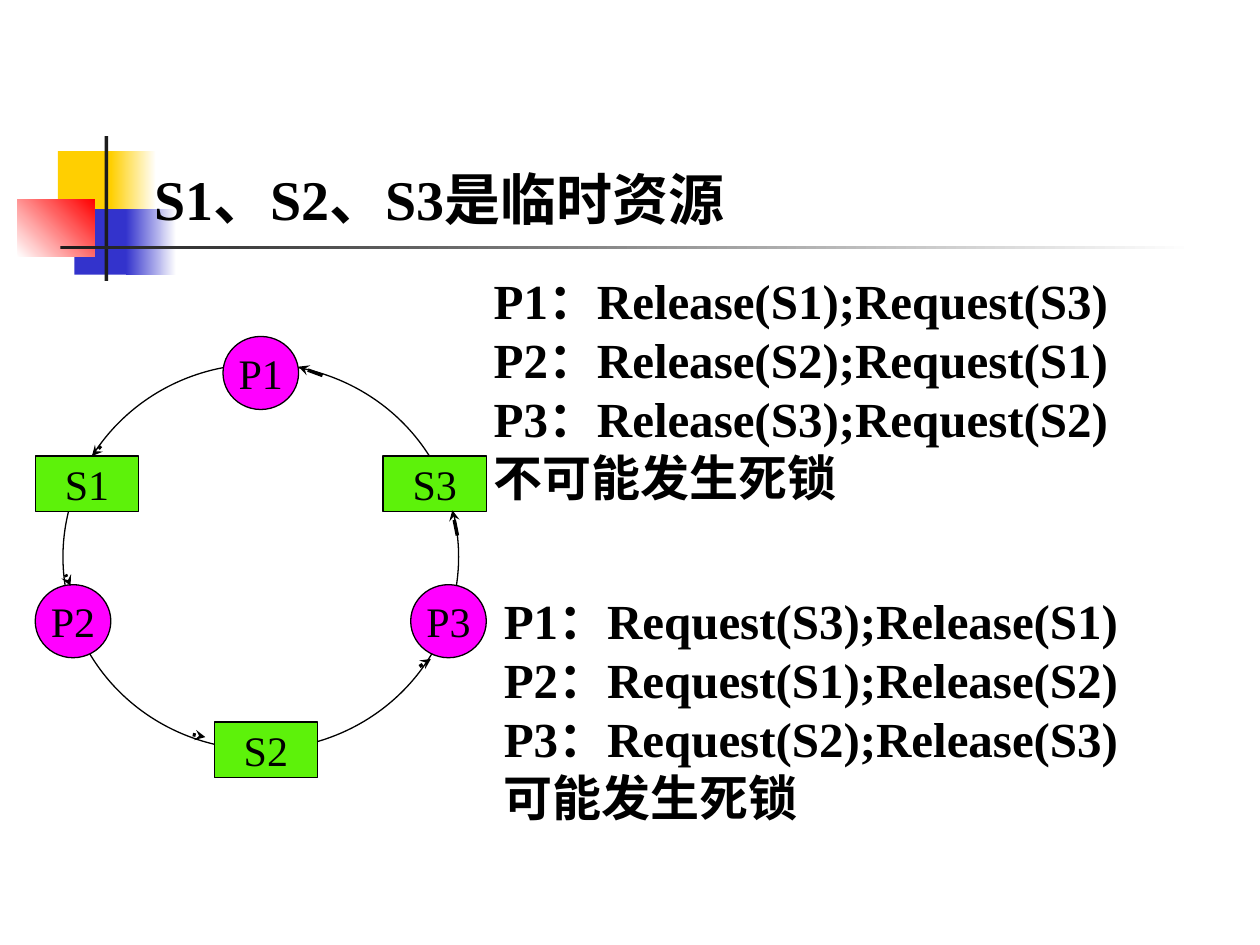
from lxml.etree import SubElement
from pptx import Presentation
from pptx.dml.color import RGBColor
from pptx.enum.shapes import MSO_CONNECTOR, MSO_SHAPE
from pptx.enum.text import MSO_ANCHOR, PP_ALIGN
from pptx.oxml.ns import qn
from pptx.util import Inches, Pt

FONT = "Times New Roman"
COLORS = {
    "white": "FFFFFF", "black": "000000", "yellow": "FFCF01", "blue": "3333CC",
    "red": "FF0000", "dark": "1C1C1C", "process": "FF00FF", "resource": "5DF20A",
}


def rgb(name):
    """Return the named colour."""
    return RGBColor.from_string(COLORS[name])


def add_shape(s, kind, box, fill=None, fade=None, angle=0, outlined=False):
    """Add a preset shape with a solid, fading or empty fill."""
    sp = s.shapes.add_shape(kind, *map(Inches, box))
    sp.shadow.inherit = False
    if fade:
        sp.fill.gradient()
        sp.fill.gradient_angle = angle
        for stop, name in zip(sp.fill.gradient_stops, (fill, fade)):
            stop.color.rgb = rgb(name)
    elif fill:
        sp.fill.solid()
        sp.fill.fore_color.rgb = rgb(fill)
    else:
        sp.fill.background()
    if outlined:
        sp.line.color.rgb = rgb("black")
        sp.line.width = Pt(0.75)
    else:
        sp.line.fill.background()
    return sp


def set_text(sp, lines, size, bold=False, align=PP_ALIGN.LEFT):
    """Write one paragraph per line in a single style."""
    tf = sp.text_frame
    tf.word_wrap = False
    tf.text = "\n".join(lines)
    for p in tf.paragraphs:
        p.alignment = align
        p.font.name, p.font.size, p.font.bold = FONT, Pt(size), bold
        p.font.color.rgb = rgb("black")


def add_text(s, box, lines, size):
    """Add a bold text block."""
    set_text(s.shapes.add_textbox(*map(Inches, box)), lines, size, bold=True)


def add_arrow(s, start, end):
    """Add a hairline with a stealth arrowhead at its end."""
    cn = s.shapes.add_connector(MSO_CONNECTOR.STRAIGHT, *map(Inches, (*start, *end)))
    cn.line.color.rgb = rgb("black")
    cn.line.width = Pt(0)
    SubElement(cn.line._get_or_add_ln(), qn("a:tailEnd"), type="stealth")
    SubElement(cn._element.spPr, qn("a:effectLst"))


def add_ornament(s, box):
    """Draw the coloured squares and the crossing rules beside the title."""
    left, top, width, height = box
    parts = [
        (0.32, 0.12, 0.48, 0.52, "yellow", None, 0),
        (0.74, 0.12, 0.36, 0.52, "yellow", "white", 0),
        (0.45, 0.58, 0.46, 0.52, "blue", None, 0),
        (0.86, 0.58, 0.4, 0.52, "blue", "white", 0),
        (0, 0.5, 0.61, 0.46, "white", "red", 45),
        (0.69, 0, 0.03, height, "dark", None, 0),
        (0.34, 0.87, width - 0.34, 0.03, "dark", "white", 0),
    ]
    for x, y, w, h, fill, fade, angle in parts:
        add_shape(s, MSO_SHAPE.RECTANGLE, (left + x, top + y, w, h), fill, fade, angle)


def add_cycle(s, box):
    """Draw the ring of processes and resources with its arrowheads."""
    left, top, width, height = box
    add_shape(s, MSO_SHAPE.OVAL, (left + 0.22, top + 0.22, width - 0.44, height - 0.44),
              outlined=True)
    styles = {"P": (MSO_SHAPE.OVAL, 0.6, 0.58, "process"),
              "S": (MSO_SHAPE.RECTANGLE, 0.82, 0.44, "resource")}
    nodes = {"P1": (1.49, 0), "S1": (0, 0.95), "S3": (width - 0.82, 0.95),
             "P2": (0, 1.97), "P3": (width - 0.6, 1.97), "S2": (1.42, height - 0.44)}
    for name, (x, y) in nodes.items():
        kind, w, h, fill = styles[name[0]]
        sp = add_shape(s, kind, (left + x, top + y, w, h), fill, outlined=True)
        set_text(sp, [name], 24, align=PP_ALIGN.CENTER)
        sp.text_frame.vertical_anchor = MSO_ANCHOR.MIDDLE
    arrows = [
        (0.52, 0.87, 0.45, 0.95), (0.24, 1.89, 0.28, 1.98), (1.25, 3.16, 1.35, 3.18),
        (3.05, 2.62, 3.14, 2.56), (3.35, 1.58, 3.31, 1.38), (2.28, 0.31, 2.09, 0.24),
    ]
    for x1, y1, x2, y2 in arrows:
        add_arrow(s, (left + x1, top + y1), (left + x2, top + y2))


def main():
    """Build and save the slide."""
    prs = Presentation()
    prs.slide_width, prs.slide_height = Inches(10), Inches(7.5)
    s = prs.slides.add_slide(prs.slide_layouts[6])
    add_ornament(s, (0.14, 1.08, 9.34, 1.15))
    add_cycle(s, (0.28, 2.67, 3.58, 3.5))
    needs = [("P1", "S1", "S3"), ("P2", "S2", "S1"), ("P3", "S3", "S2")]
    release_first = [f"{p}：Release({own});Request({want})" for p, own, want in needs]
    request_first = [f"{p}：Request({want});Release({own})" for p, own, want in needs]
    add_text(s, (3.82, 2.1, 5.26, 1.97), release_first + ["不可能发生死锁"], 28)
    add_text(s, (3.9, 4.64, 5.26, 1.97), request_first + ["可能发生死锁"], 28)
    add_text(s, (1.13, 1.26, 5.26, 0.64), ["S1、S2、S3是临时资源"], 32)
    prs.save("out.pptx")


if __name__ == "__main__":
    main()
